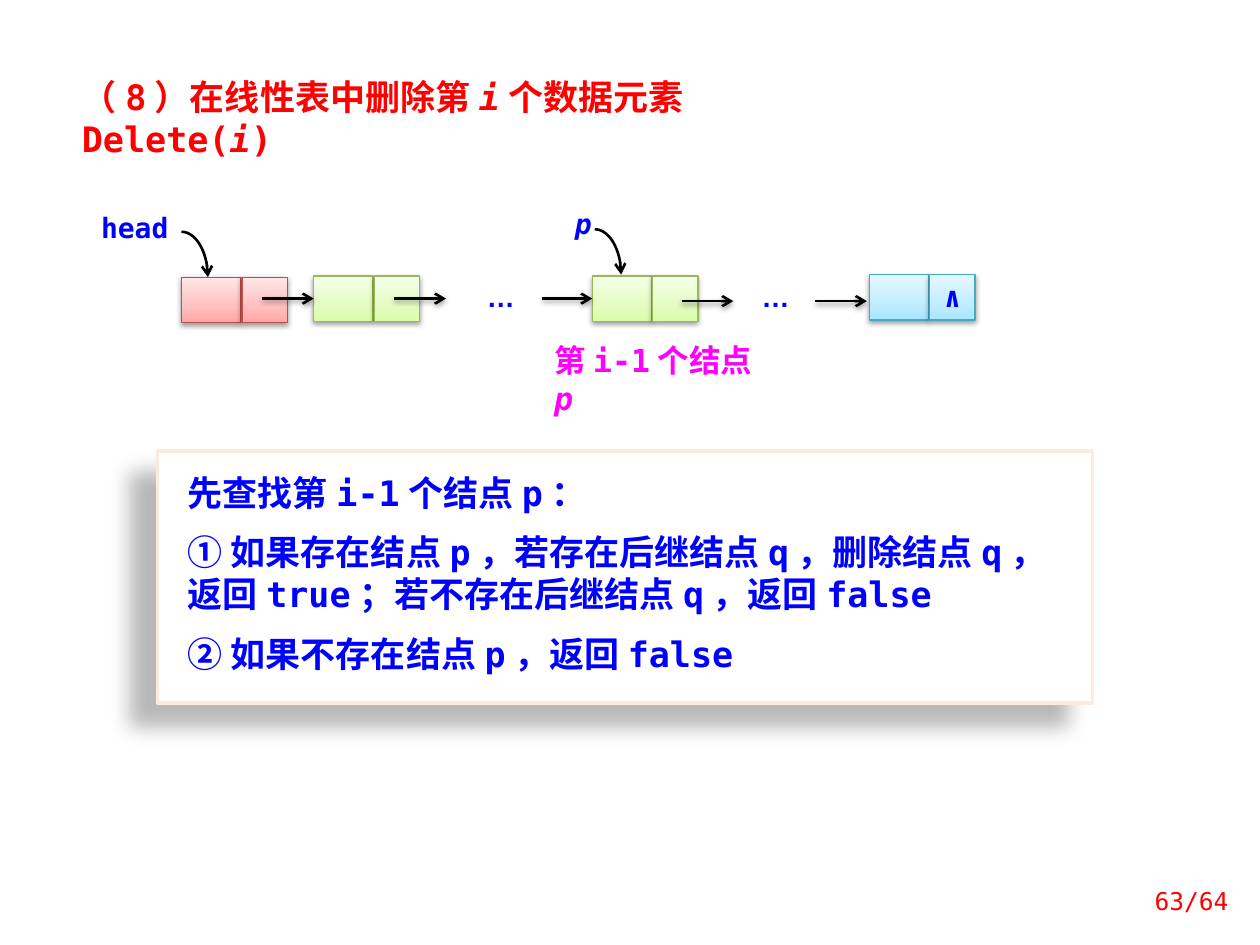
import pptx
import pptx.util
import pptx.dml.color
import pptx.enum.shapes
import pptx.enum.text
import pptx.oxml
import pptx.oxml.ns

COLORS = {
    "red": "FF0000", "blue": "0000FF", "magenta": "FF00FF",
    "black": "000000", "white": "FFFFFF", "frame": "FDEADA",
}
# Gradient stops from bottom to top, then the outline
NODE_COLORS = {
    "head": ("FFA6A5", "FFC0BF", "FFE7E7", "BF4C48"),
    "inner": ("DAFDA7", "E4FCC2", "F5FFE7", "98B955"),
    "last": ("A7E6FF", "C1EDFF", "E7F8FF", "46AAC5"),
}
STOP_POSITIONS = (0, 35000, 100000)
FONT = "DejaVu Sans Mono"
ALIGN = pptx.enum.text.PP_ALIGN
RECTANGLE = pptx.enum.shapes.MSO_SHAPE.RECTANGLE
NAMESPACE = pptx.oxml.ns.nsdecls("a")
rgb = pptx.dml.color.RGBColor.from_string

presentation = pptx.Presentation()
presentation.slide_width = pptx.util.Inches(10)
presentation.slide_height = pptx.util.Inches(7.5)
slide = presentation.slides.add_slide(presentation.slide_layouts[5])
shapes = slide.shapes
UNIT = presentation.slide_width / 100  # grid of 100 columns by 75 rows


def grid(*lengths):
    return [round(length * UNIT) for length in lengths]


def write(shape, *texts, size=16, color="blue", bold=True, font=FONT,
          align=ALIGN.LEFT, insets=(0, 0, 0, 0), gap=0, line_spacing=None,
          anchor=pptx.enum.text.MSO_ANCHOR.TOP):
    """Write one paragraph per text; *stars* mark italics."""
    frame = shape.text_frame
    frame.word_wrap = True
    frame.auto_size = pptx.enum.text.MSO_AUTO_SIZE.NONE
    frame.vertical_anchor = anchor
    (frame.margin_left, frame.margin_top,
     frame.margin_right, frame.margin_bottom) = grid(*insets)
    for number, text in enumerate(texts):
        paragraph = frame.add_paragraph() if number else frame.paragraphs[0]
        paragraph.alignment = align
        paragraph.space_before = pptx.util.Pt(gap if number else 0)
        if line_spacing:
            paragraph.line_spacing = pptx.util.Pt(line_spacing)
        for index, part in enumerate(text.split("*")):
            if part:
                run = paragraph.add_run()
                run.text = part
                run.font.name = font
                run.font.size = pptx.util.Pt(size)
                run.font.bold = bold
                run.font.italic = index % 2 == 1
                run.font.color.rgb = rgb(COLORS[color])


TEXT_INSETS = (1, 0.5, 1, 0.5)
shadowed = []  # shape, opacity, blur, distance, direction
NODE_SHADOW = (38, 3.1, 1.6, 90)

# Title
title = shapes.title
title.left, title.top, title.width, title.height = grid(5.5, 5.5, 63.3, 4.4)
write(title, "（8）在线性表中删除第*i*个数据元素Delete(*i*)",
      size=20, color="red", insets=TEXT_INSETS)

# List nodes: a data cell and a pointer cell each
data_cells, pointer_cells = [], []
for kind, left, top in (("head", 14.4, 22), ("inner", 24.9, 21.9),
                        ("inner", 47, 21.9), ("last", 69, 21.8)):
    for cells, offset, width in ((data_cells, 0, 4.7), (pointer_cells, 4.8, 3.6)):
        cell = shapes.add_shape(RECTANGLE, *grid(left + offset, top, width, 3.6))
        *stops, outline = NODE_COLORS[kind]
        cell.fill.gradient()
        cell.fill.gradient_angle = 90
        stop_list = cell._element.spPr.find(".//" + pptx.oxml.ns.qn("a:gsLst"))
        stop_list.clear()
        for position, color in zip(STOP_POSITIONS, stops):
            stop_list.append(pptx.oxml.parse_xml(
                f'<a:gs {NAMESPACE} pos="{position}"><a:srgbClr val="{color}"/></a:gs>'))
        cell.line.color.rgb = rgb(outline)
        cell.line.width = pptx.util.Pt(0.75)
        shadowed.append((cell, *NODE_SHADOW))
        cells.append(cell)
write(pointer_cells[-1], "∧", align=ALIGN.CENTER, line_spacing=22)

# Labels beside and between the nodes
for text, left, top, width, font in (
        ("head", 7, 16.7, 7.4, FONT), ("*p*", 45.2, 16.4, 2.2, FONT),
        ("…", 37.6, 22.2, 4.3, "Arial"), ("…", 59.4, 22.2, 4.3, "Arial")):
    label = shapes.add_shape(RECTANGLE, *grid(left, top, width, 2.9))
    label.shadow.inherit = False
    label.fill.solid()
    label.fill.fore_color.rgb = rgb(COLORS["white"])
    label.line.fill.background()
    write(label, text, font=font, align=ALIGN.CENTER)

caption = shapes.add_textbox(*grid(43, 26.6, 18, 4))
write(caption, "第i-1个结点*p*", size=18, color="magenta", insets=TEXT_INSETS)

# Straight arrows, joined to the node they reach
arrows = []
for left, top, target in ((20.8, 23.7, data_cells[1]), (31.3, 23.7, None),
                          (43, 23.7, data_cells[2]), (54.1, 23.9, None),
                          (64.7, 23.9, None)):
    arrow = shapes.add_connector(pptx.enum.shapes.MSO_CONNECTOR.STRAIGHT,
                                 *grid(left, top, left + 4.1, top))
    if target is not None:
        arrow.end_connect(target, 1)
    shadowed.append((arrow, *NODE_SHADOW))
    arrows.append(arrow)

# Curved arrows from the labels: quarter ellipses as Bezier curves
CURVE_WIDTH, CURVE_HEIGHT, STEPS = 2.1, 3.6, 24
for left, top in ((14.4, 18.4), (47.2, 18.2)):
    points = []
    for step in range(1, STEPS + 1):
        t = step / STEPS
        x = 3 * (1 - t) ** 2 * t * 0.55 + 3 * (1 - t) * t ** 2 + t ** 3
        y = 3 * (1 - t) * t ** 2 * 0.45 + t ** 3
        points.append(grid(left + CURVE_WIDTH * x, top + CURVE_HEIGHT * y))
    builder = shapes.build_freeform(*grid(left, top))
    builder.add_line_segments(points, close=False)
    curve = builder.convert_to_shape()
    curve.shadow.inherit = False
    curve.fill.background()
    arrows.append(curve)

for arrow in arrows:
    arrow.line.color.rgb = rgb(COLORS["black"])
    arrow.line.width = pptx.util.Pt(1.5)
    arrow.line._get_or_add_ln().append(
        pptx.oxml.parse_xml(f'<a:tailEnd {NAMESPACE} type="arrow"/>'))

# Framed algorithm steps
steps_box = shapes.add_shape(RECTANGLE, *grid(12.5, 35.8, 74.2, 20))
steps_box.fill.solid()
steps_box.fill.fore_color.rgb = rgb(COLORS["white"])
steps_box.line.color.rgb = rgb(COLORS["frame"])
steps_box.line.width = pptx.util.Pt(2)
shadowed.append((steps_box, 28, 11.8, 19.7, 141))
write(steps_box, "先查找第i-1个结点p：",
      "① 如果存在结点p，若存在后继结点q，删除结点q，返回true；若不存在后继结点q，返回false",
      "② 如果不存在结点p，返回false",
      size=20, insets=(2.4, 1.6, 1, 1.6), gap=10)

# Shadows
for shape, opacity, blur, distance, direction in shadowed:
    shape._element.spPr.append(pptx.oxml.parse_xml(
        f'<a:effectLst {NAMESPACE}><a:outerShdw blurRad="{pptx.util.Pt(blur)}" '
        f'dist="{pptx.util.Pt(distance)}" dir="{direction * 60000}" rotWithShape="0">'
        f'<a:srgbClr val="{COLORS["black"]}"><a:alpha val="{opacity * 1000}"/>'
        '</a:srgbClr></a:outerShdw></a:effectLst>'))

# Page number
page_number = shapes.add_textbox(*grid(89.1, 69.5, 9.4, 4))
write(page_number, "63/64", size=14, color="red", bold=False, align=ALIGN.RIGHT,
      insets=TEXT_INSETS, anchor=pptx.enum.text.MSO_ANCHOR.MIDDLE)

presentation.save("out.pptx")
